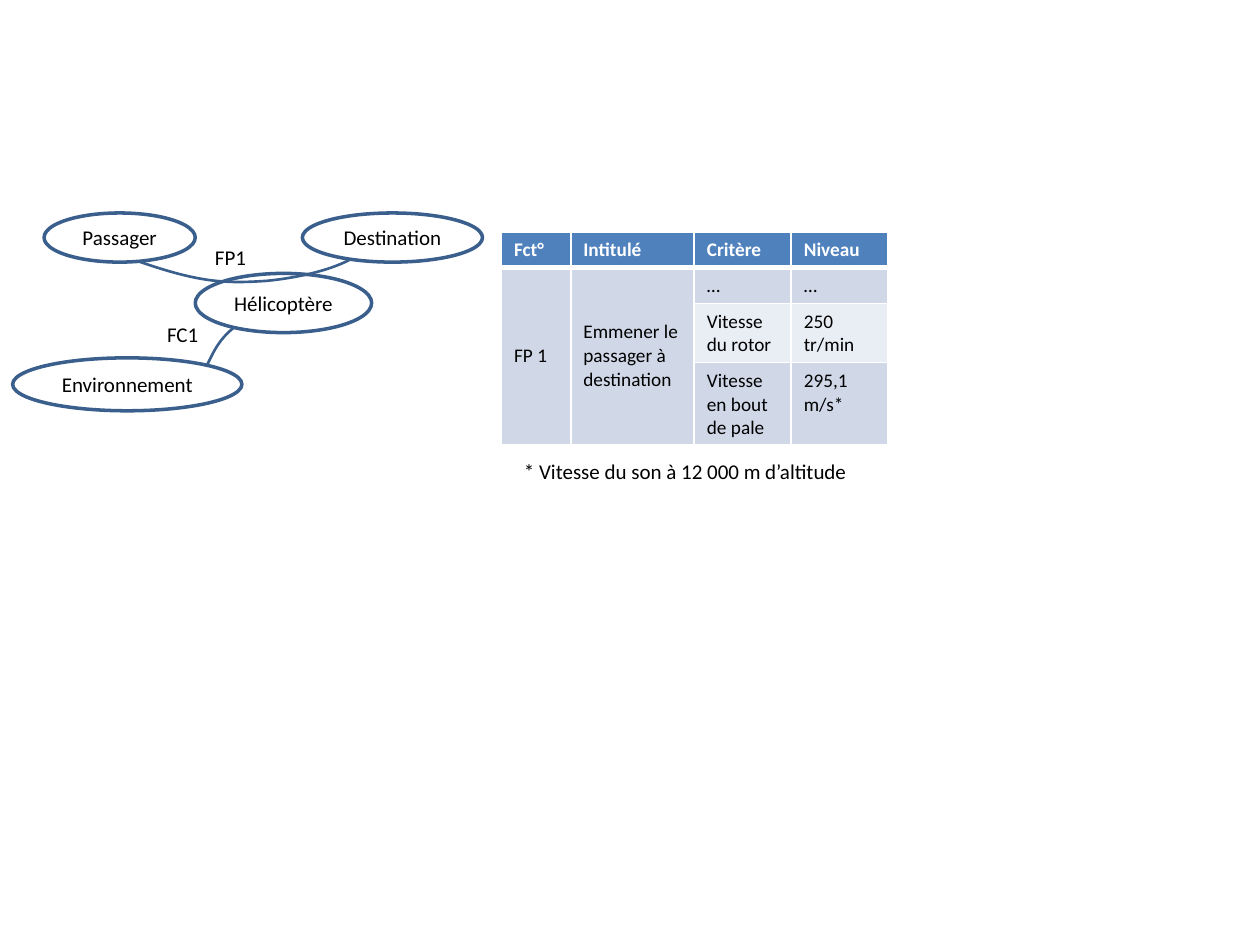
from lxml import etree
from pptx import Presentation
from pptx.dml.color import RGBColor
from pptx.enum import shapes, text
from pptx.oxml.ns import qn
from pptx.util import Inches, Pt

OUTLINE = RGBColor(0x3A, 0x5F, 0x8C)
HEADER = RGBColor(0x4F, 0x81, 0xBD)
BAND_DARK = RGBColor(0xD0, 0xD8, 0xE8)
BAND_LIGHT = RGBColor(0xE9, 0xED, 0xF4)
WHITE = RGBColor(0xFF, 0xFF, 0xFF)
BLACK = RGBColor(0x00, 0x00, 0x00)

ELLIPSES = [
    ("Hélicoptère", (1.55, 2.17, 1.4, 0.47)),
    ("Passager", (0.35, 1.69, 1.2, 0.39)),
    ("Destination", (2.4, 1.69, 1.43, 0.39)),
    ("Environnement", (0.1, 2.84, 1.82, 0.42)),
]
FC1_CURVE = [(2.18, 2.44), (1.7, 2.59), (1.7, 2.84), (1.61, 2.95),
             (1.52, 3.05), (1.52, 3.16), (1.64, 3.08)]
FP1_CURVE = [(1.03, 2.05), (1.58, 2.25), (1.79, 2.25), (2.11, 2.23),
             (2.43, 2.2), (2.85, 2.1), (2.95, 1.91)]

TABLE_ROWS = [
    ["Fct°", "Intitulé", "Critère", "Niveau"],
    ["FP 1", "Emmener le passager à destination", "…", "…"],
    ["", "", "Vitesse du rotor", "250 tr/min"],
    ["", "", "Vitesse en bout de pale", "295,1 m/s*"],
]
COLUMN_WIDTHS = [0.55, 0.98, 0.77, 0.77]
ROW_HEIGHTS = [0.28, 0.28, 0.47, 0.65]
ROW_FILLS = [HEADER, BAND_DARK, BAND_LIGHT, BAND_DARK]
MERGED_COLUMNS = (0, 1)


def write(frame, content, align=text.PP_ALIGN.LEFT, **font_values):
    paragraph = frame.paragraphs[0]
    paragraph.alignment = align
    run = paragraph.add_run()
    run.text = content
    values = {"name": "Calibri", "size": Pt(12), **font_values}
    color = values.pop("color", BLACK)
    for name, value in values.items():
        setattr(run.font, name, value)
    run.font.color.rgb = color


def set_outline(shape, width):
    shape.shadow.inherit = False
    shape.line.color.rgb = OUTLINE
    shape.line.width = Pt(width)


def add_ellipse(slide, label, box):
    shape = slide.shapes.add_shape(shapes.MSO_SHAPE.OVAL, *map(Inches, box))
    set_outline(shape, 2)
    shape.fill.solid()
    shape.fill.fore_color.rgb = WHITE
    shape.text_frame.word_wrap = False
    shape.text_frame.vertical_anchor = text.MSO_ANCHOR.MIDDLE
    write(shape.text_frame, label, text.PP_ALIGN.CENTER)


def add_curve(slide, points):
    """Draw a Bézier curve: a start, then two handles and an end per segment."""
    start, *others = [(Inches(x), Inches(y)) for x, y in points]
    builder = slide.shapes.build_freeform(*start)
    builder.add_line_segments(others, close=False)
    shape = builder.convert_to_shape()
    set_outline(shape, 1.5)
    shape.fill.background()
    path = next(shape._element.iter(qn("a:path")))
    lines = path.findall(qn("a:lnTo"))
    for first in range(0, len(lines), 3):
        bezier = etree.SubElement(path, qn("a:cubicBezTo"))
        for line in lines[first:first + 3]:
            bezier.append(line[0])
            path.remove(line)


def add_label(slide, content, box, align=text.PP_ALIGN.CENTER):
    frame = slide.shapes.add_textbox(*map(Inches, box)).text_frame
    frame.word_wrap = True
    frame.auto_size = text.MSO_AUTO_SIZE.SHAPE_TO_FIT_TEXT
    write(frame, content, align)


def set_borders(cell, row):
    properties = cell._tc.get_or_add_tcPr()
    widths = {"lnL": 1, "lnR": 1, "lnT": 3 if row == 1 else 1,
              "lnB": 3 if row == 0 else 1}
    for side, width in widths.items():
        line = etree.SubElement(properties, qn(f"a:{side}"), w=str(Pt(width)))
        fill = etree.SubElement(line, qn("a:solidFill"))
        etree.SubElement(fill, qn("a:srgbClr"), val=str(WHITE))


def add_criteria_table(slide, left, top):
    frame = slide.shapes.add_table(
        len(ROW_HEIGHTS), len(COLUMN_WIDTHS), Inches(left), Inches(top),
        Inches(sum(COLUMN_WIDTHS)), Inches(sum(ROW_HEIGHTS)))
    table = frame.table
    for column, width in zip(table.columns, COLUMN_WIDTHS):
        column.width = Inches(width)
    for row, height in zip(table.rows, ROW_HEIGHTS):
        row.height = Inches(height)
    for column in MERGED_COLUMNS:
        table.cell(1, column).merge(table.cell(len(ROW_HEIGHTS) - 1, column))
    for r, contents in enumerate(TABLE_ROWS):
        for c, content in enumerate(contents):
            cell = table.cell(r, c)
            set_borders(cell, r)
            cell.fill.solid()
            cell.fill.fore_color.rgb = BAND_DARK if cell.is_spanned else ROW_FILLS[r]
            if cell.is_merge_origin:
                cell.vertical_anchor = text.MSO_ANCHOR.MIDDLE
            if content:
                write(cell.text_frame, content, size=Pt(11), bold=r == 0,
                      color=WHITE if r == 0 else BLACK)


def main():
    presentation = Presentation()
    presentation.slide_width = Inches(10)
    presentation.slide_height = Inches(7.5)
    slide = presentation.slides.add_slide(presentation.slide_layouts[6])

    helicopter, *surroundings = ELLIPSES
    add_curve(slide, FC1_CURVE)
    add_ellipse(slide, *helicopter)
    add_curve(slide, FP1_CURVE)
    for label, box in surroundings:
        add_ellipse(slide, label, box)
    add_label(slide, "FP1", (1.53, 1.89, 0.6, 0.3))
    add_label(slide, "FC1", (1.15, 2.5, 0.6, 0.3))

    add_criteria_table(slide, 3.98, 1.84)
    add_label(slide, "* Vitesse du son à 12 000 m d’altitude",
              (4.06, 3.59, 2.91, 0.3), text.PP_ALIGN.LEFT)
    presentation.save("out.pptx")


if __name__ == "__main__":
    main()
